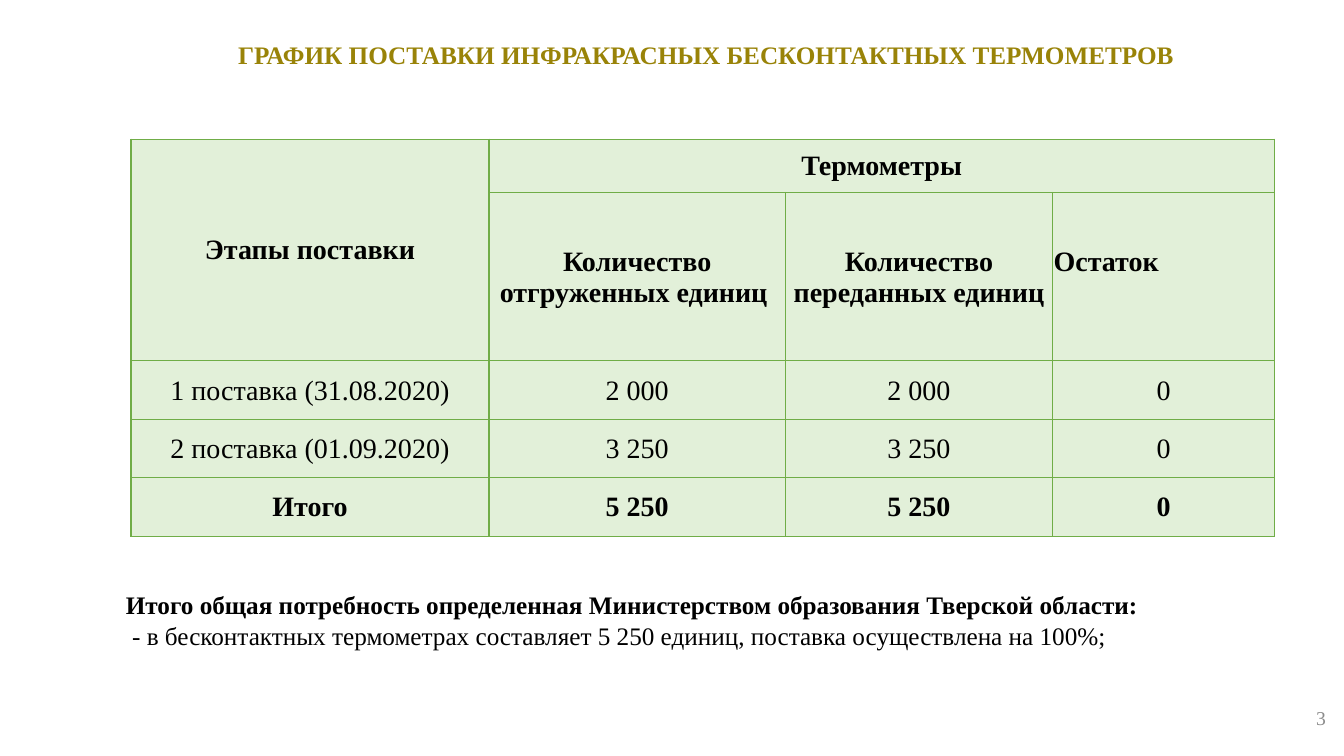
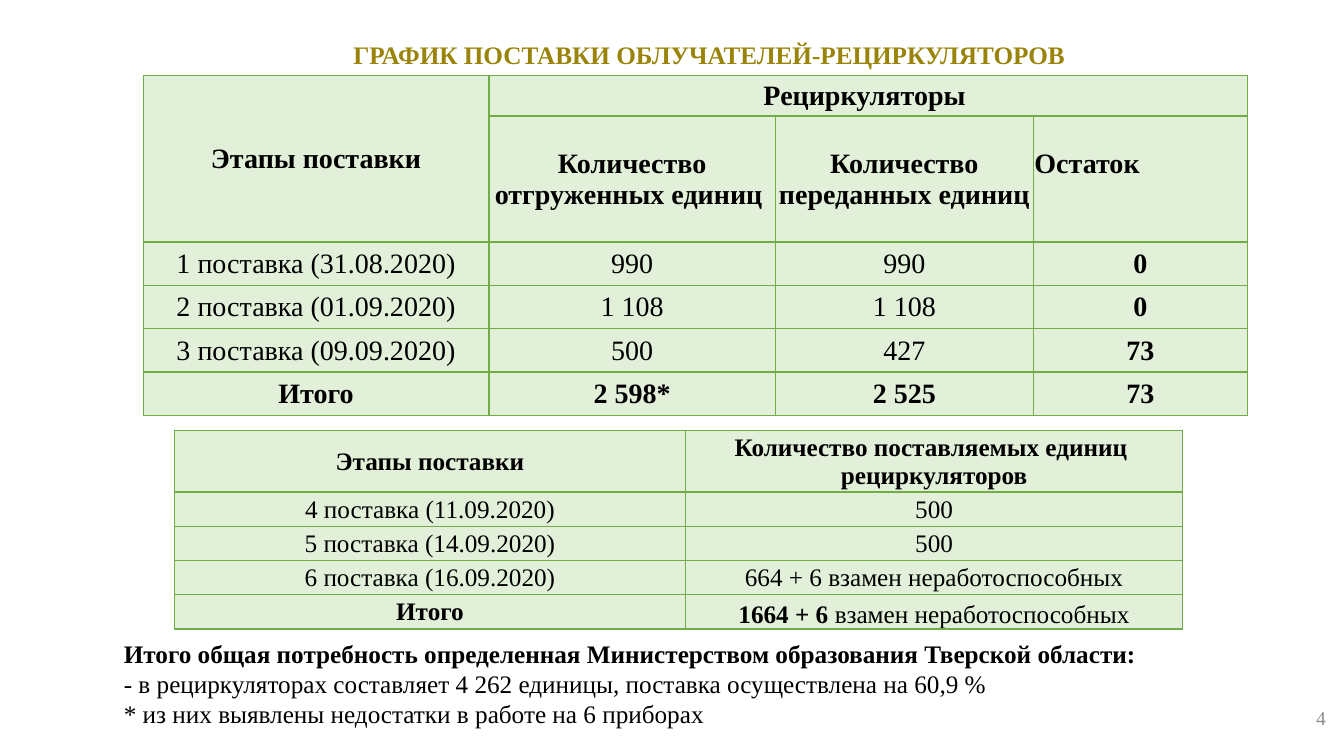
import dataclasses

import lxml.etree
import pptx
import pptx.dml.color
import pptx.enum.text
import pptx.oxml.ns
import pptx.util

ALIGN = pptx.enum.text.PP_ALIGN
ANCHOR = pptx.enum.text.MSO_ANCHOR
EMU_PER_PX = 9144


def px(length):
    return pptx.util.Emu(length * EMU_PER_PX)


def rgb(code):
    return pptx.dml.color.RGBColor.from_string(code)


def assign(target, values):
    for name, value in values.items():
        setattr(target, name, value)


@dataclasses.dataclass(frozen=True)
class Theme:
    font: str = "Times New Roman"
    title: str = "998308"
    ink: str = "000000"
    number: str = "8C8C8C"
    fill: str = "E2F0D9"
    border: str = "70AD47"
    border_pt: int = 1
    small: int = 14
    body: int = 18
    large: int = 20


class DeliveryDeck:
    """Delivery schedule slides drawn in one style, with lengths in hundredths of an inch."""

    def __init__(self, theme):
        self.theme = theme
        self.deck = pptx.Presentation()
        assign(self.deck, {"slide_width": px(1333), "slide_height": px(750)})
        self.page = None

    def add_page(self, title, number):
        self.page = self.deck.slides.add_slide(self.deck.slide_layouts[6])
        theme = self.theme
        self.add_text((143, 20, 1121, 71), [[(title, True)]], theme.body, theme.title,
                      {"alignment": ALIGN.CENTER, "line_spacing": 0.9}, ANCHOR.MIDDLE)
        self.add_text((1150, 697, 175, 30), [[(number, False)]], theme.small, theme.number,
                      {"alignment": ALIGN.RIGHT}, ANCHOR.MIDDLE)

    def fill_frame(self, frame, paragraphs, size, color, layout):
        for index, spans in enumerate(paragraphs):
            para = frame.add_paragraph() if index else frame.paragraphs[0]
            assign(para, layout)
            for text, bold in spans:
                span = para.add_run()
                span.text = text
                assign(span.font, {"name": self.theme.font, "bold": bold,
                                   "size": pptx.util.Pt(size)})
                span.font.color.rgb = rgb(color)

    def add_text(self, place, paragraphs, size, color, layout, anchor):
        box = self.page.shapes.add_textbox(*map(px, place))
        assign(box.text_frame, {"word_wrap": True, "vertical_anchor": anchor})
        self.fill_frame(box.text_frame, paragraphs, size, color, layout)

    def add_note(self, left, top, heading, *lines):
        paragraphs = [[(heading, True)]] + [[(line, False)] for line in lines]
        self.add_text((left, top, 1176, 101), paragraphs, self.theme.body, self.theme.ink,
                      {"alignment": ALIGN.LEFT}, ANCHOR.TOP)

    def style_cell(self, cell):
        assign(cell, {"margin_left": px(1), "margin_right": px(1), "margin_top": px(1),
                      "margin_bottom": 0, "vertical_anchor": ANCHOR.MIDDLE})
        properties = cell._tc.get_or_add_tcPr()
        qn = pptx.oxml.ns.qn
        for side in "LRTB":
            line = lxml.etree.SubElement(properties, qn(f"a:ln{side}"),
                                         w=str(pptx.util.Pt(self.theme.border_pt)))
            paint = lxml.etree.SubElement(line, qn("a:solidFill"))
            lxml.etree.SubElement(paint, qn("a:srgbClr"), val=self.theme.border)
        cell.fill.solid()
        cell.fill.fore_color.rgb = rgb(self.theme.fill)

    def add_table(self, corner, widths, heights, rows, size, head_rows=1, bold_columns=()):
        place = (*corner, sum(widths), sum(heights))
        table = self.page.shapes.add_table(len(rows), len(widths), *map(px, place)).table
        assign(table, {"first_row": False, "horz_banding": False})
        for column, width in zip(table.columns, widths):
            column.width = px(width)
        for row, height in zip(table.rows, heights):
            row.height = px(height)
        for r, texts in enumerate(rows):
            for c, text in enumerate(texts):
                cell = table.cell(r, c)
                self.style_cell(cell)
                bold = r < head_rows or r == len(rows) - 1 or c in bold_columns
                if isinstance(text, tuple):
                    paragraphs = [[(text[0], True), (text[1], False)]]
                else:
                    paragraphs = [[(line, bold)] for line in text.split("\n") if line]
                self.fill_frame(cell.text_frame, paragraphs, size, self.theme.ink,
                                {"alignment": ALIGN.CENTER})
        return table

    def add_stage_table(self, corner, widths, heights, device, rows, bold_columns=()):
        head, subhead, body = heights
        heading = [
            ("Этапы поставки", device, "", ""),
            ("", "Количество отгруженных единиц ", "Количество переданных единиц", "Остаток"),
        ]
        table = self.add_table(corner, widths, [head, subhead] + [body] * len(rows),
                               heading + rows, self.theme.large, 2, bold_columns)
        table.cell(0, 0).merge(table.cell(1, 0))
        table.cell(0, 1).merge(table.cell(0, 3))
        balance = table.cell(1, 3)
        balance.margin_bottom = px(31)
        balance.text_frame.paragraphs[0].alignment = ALIGN.LEFT


def main():
    show = DeliveryDeck(Theme())
    need = "Итого общая потребность определенная Министерством образования Тверской области:"

    show.add_page("ГРАФИК ПОСТАВКИ ИНФРАКРАСНЫХ БЕСКОНТАКТНЫХ ТЕРМОМЕТРОВ ", "3")
    show.add_stage_table((130, 138), (355, 294, 265, 220), (53, 167, 58), "Термометры", [
        ("1 поставка (31.08.2020)", "2 000", "2 000", "0"),
        ("2 поставка (01.09.2020)", "3 250", "3 250", "0"),
        ("Итого", "5 250", "5 250", "0"),
    ])
    show.add_note(
        115, 580, need,
        " - в бесконтактных термометрах составляет 5 250 единиц, поставка осуществлена на 100%;")

    show.add_page("ГРАФИК ПОСТАВКИ ОБЛУЧАТЕЛЕЙ-РЕЦИРКУЛЯТОРОВ", "4")
    show.add_stage_table((142, 75), (343, 284, 256, 212), (40, 125, 43), "Рециркуляторы ", [
        ("1 поставка (31.08.2020)", "990", "990", "0"),
        ("2 поставка (01.09.2020)", "1 108", "1 108", "0"),
        ("3 поставка (09.09.2020)", "500", "427", "73"),
        ("Итого", "2 598*", "2 525", "73"),
    ], bold_columns=(3,))
    planned = show.add_table((173, 427), (507, 493), [52] + [34] * 4, [
        ("Этапы поставки", "Количество поставляемых единиц \nрециркуляторов"),
        ("4 поставка (11.09.2020)", "500"),
        ("5 поставка (14.09.2020)", "500"),
        ("6 поставка (16.09.2020)", "664 + 6 взамен неработоспособных"),
        ("Итого", ("1664 + 6 ", "взамен неработоспособных")),
    ], show.theme.body)
    planned.cell(4, 1).vertical_anchor = ANCHOR.BOTTOM
    show.add_note(
        113, 628, need,
        "- в рециркуляторах составляет 4 262 единицы, поставка осуществлена на 60,9 %",
        "* из них выявлены недостатки в работе на 6 приборах")

    show.deck.save("out.pptx")


if __name__ == "__main__":
    main()
